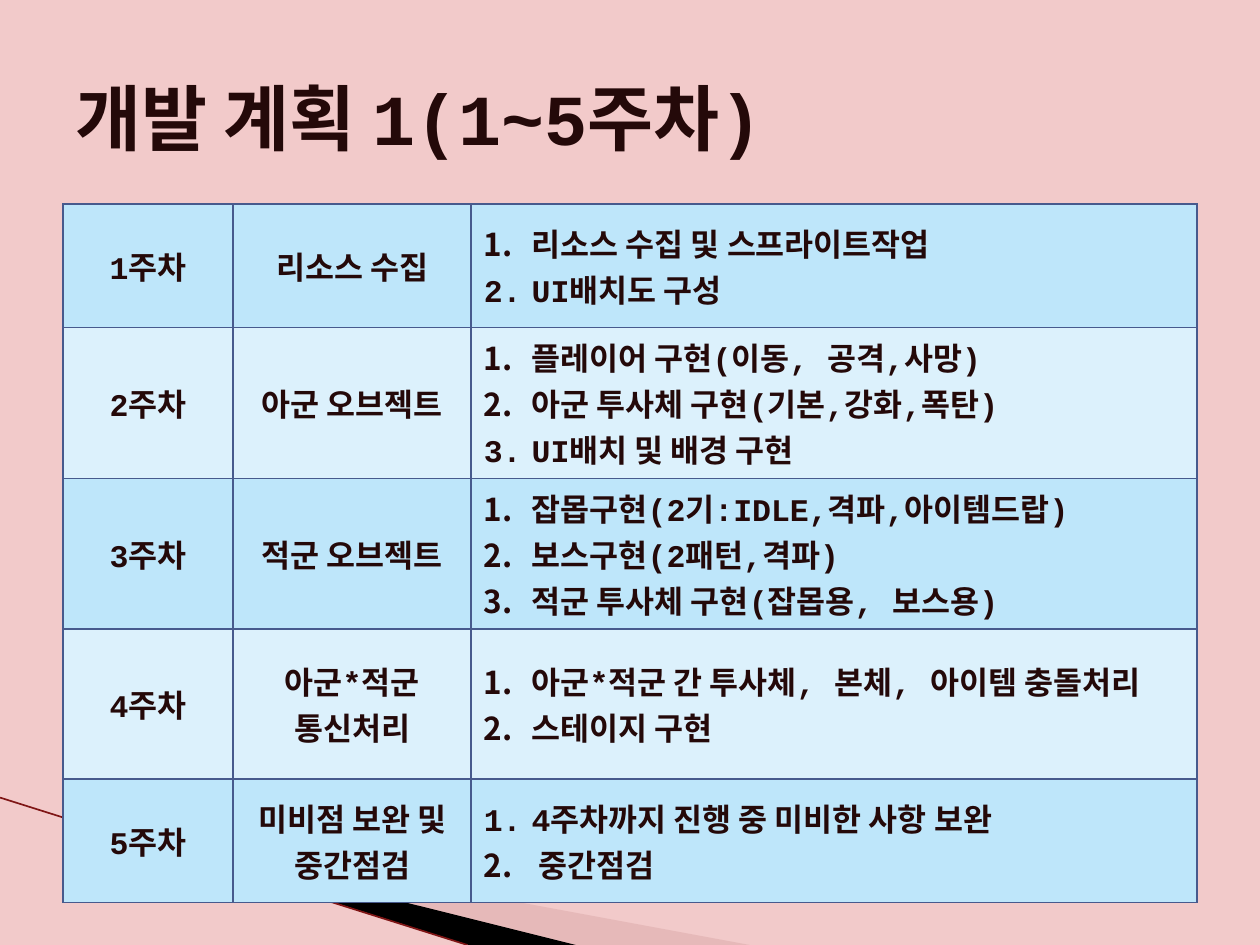
from lxml.etree import SubElement
from pptx import Presentation
from pptx.dml.color import RGBColor
from pptx.enum.shapes import MSO_CONNECTOR
from pptx.enum.text import MSO_ANCHOR, PP_ALIGN
from pptx.oxml.ns import qn
from pptx.util import Inches, Pt

COLORS = {
    "background": "F2CACA", "text": "240909", "border": "475A8D",
    "odd_row": "BEE6FA", "even_row": "DCF1FC",
    "pale_ray": "D5A0A0", "dark_ray": "000000", "thin_ray": "7F1515",
}
WIDTH, HEIGHT = 10, 7.5
MARGIN = WIDTH * 0.05
COLUMNS = (1.35, 1.89, 5.76)
ROW_HEIGHT = 0.98
PLAN = [
    (["1주차"], ["리소스 수집"],
     ["리소스 수집 및 스프라이트작업", "UI배치도 구성"]),
    (["2주차"], ["아군 오브젝트"],
     ["플레이어 구현(이동, 공격,사망)", "아군 투사체 구현(기본,강화,폭탄)",
      "UI배치 및 배경 구현"]),
    (["3주차"], ["적군 오브젝트"],
     ["잡몹구현(2기:IDLE,격파,아이템드랍)", "보스구현(2패턴,격파)",
      "적군 투사체 구현(잡몹용, 보스용)"]),
    (["4주차"], ["아군*적군", "통신처리"],
     ["아군*적군 간 투사체, 본체, 아이템 충돌처리", "스테이지 구현"]),
    (["5주차"], ["미비점 보완 및", "중간점검"],
     ["4주차까지 진행 중 미비한 사항 보완", " 중간점검"]),
]


def color(name):
    return RGBColor.from_string(COLORS[name])


def number_paragraph(para):
    """Give the paragraph an automatic number with a hanging indent."""
    properties = para._p.get_or_add_pPr()
    indent = Inches(0.38)
    properties.set("marL", str(indent))
    properties.set("indent", str(-indent))
    SubElement(properties, qn("a:buFontTx"))
    SubElement(properties, qn("a:buAutoNum"), type="arabicPeriod")


def write_text(frame, lines, size=18, align=PP_ALIGN.LEFT, numbered=False):
    for index, line in enumerate(lines):
        para = frame.paragraphs[0] if index == 0 else frame.add_paragraph()
        para.alignment = align
        if numbered:
            number_paragraph(para)
        span = para.add_run()
        span.text = line
        span.font.name = "Courier New"
        span.font.size = Pt(size)
        span.font.bold = True
        span.font.color.rgb = color("text")


def add_ray(page, points, fill, opacity=100):
    start, *rest = [(Inches(x), Inches(y)) for x, y in points]
    builder = page.shapes.build_freeform(*start)
    builder.add_line_segments(rest, close=True)
    ray = builder.convert_to_shape()
    ray.shadow.inherit = False
    ray.line.fill.background()
    ray.fill.solid()
    ray.fill.fore_color.rgb = color(fill)
    if opacity < 100:
        tint = ray._element.spPr.find(qn("a:solidFill"))[0]
        SubElement(tint, qn("a:alpha"), val=str(opacity * 1000))


def add_thin_ray(page, start, end):
    line = page.shapes.add_connector(
        MSO_CONNECTOR.STRAIGHT, *map(Inches, start + end))
    line.line.color.rgb = color("thin_ray")
    line.line.width = Pt(0.95)
    SubElement(line._element.spPr, qn("a:effectLst"))


def add_title(page, title):
    box = page.shapes.add_textbox(
        Inches(MARGIN), Inches(HEIGHT * 0.04),
        Inches(WIDTH - 2 * MARGIN), Inches(HEIGHT / 6))
    frame = box.text_frame
    frame.word_wrap = True
    frame.vertical_anchor = MSO_ANCHOR.MIDDLE
    write_text(frame, [title], size=41)


def style_cell(cell, fill):
    cell.vertical_anchor = MSO_ANCHOR.MIDDLE
    properties = cell._tc.get_or_add_tcPr()
    for side in ("lnL", "lnR", "lnT", "lnB"):
        border = SubElement(properties, qn(f"a:{side}"), w=str(Pt(1)))
        paint = SubElement(border, qn("a:solidFill"))
        SubElement(paint, qn("a:srgbClr"), val=COLORS["border"])
    cell.fill.solid()
    cell.fill.fore_color.rgb = color(fill)


def add_plan_table(page):
    table = page.shapes.add_table(
        len(PLAN), len(COLUMNS), Inches(MARGIN), Inches(1.62),
        Inches(sum(COLUMNS)), Inches(ROW_HEIGHT * len(PLAN))).table
    for column, width in zip(table.columns, COLUMNS):
        column.width = Inches(width)
    for row_index, week in enumerate(PLAN):
        table.rows[row_index].height = Inches(ROW_HEIGHT)
        fill = "even_row" if row_index % 2 else "odd_row"
        for column_index, lines in enumerate(week):
            cell = table.cell(row_index, column_index)
            style_cell(cell, fill)
            is_tasks = column_index == len(COLUMNS) - 1
            write_text(cell.text_frame, lines, numbered=is_tasks,
                       align=PP_ALIGN.LEFT if is_tasks else PP_ALIGN.CENTER)


def main():
    deck = Presentation()
    deck.slide_width, deck.slide_height = Inches(WIDTH), Inches(HEIGHT)
    page = deck.slides.add_slide(deck.slide_layouts[6])
    page.background.fill.solid()
    page.background.fill.fore_color.rgb = color("background")

    add_ray(page, [(0.55, 6.5), (5.95, HEIGHT), (4.56, HEIGHT)],
            "pale_ray", opacity=40)
    add_ray(page, [(0.53, 6.49), (4.57, HEIGHT), (3.72, HEIGHT)], "dark_ray")
    add_thin_ray(page, (0, 6.33), (3.71, HEIGHT))
    add_plan_table(page)
    add_title(page, "개발 계획 1(1~5주차)")
    deck.save("out.pptx")


if __name__ == "__main__":
    main()
